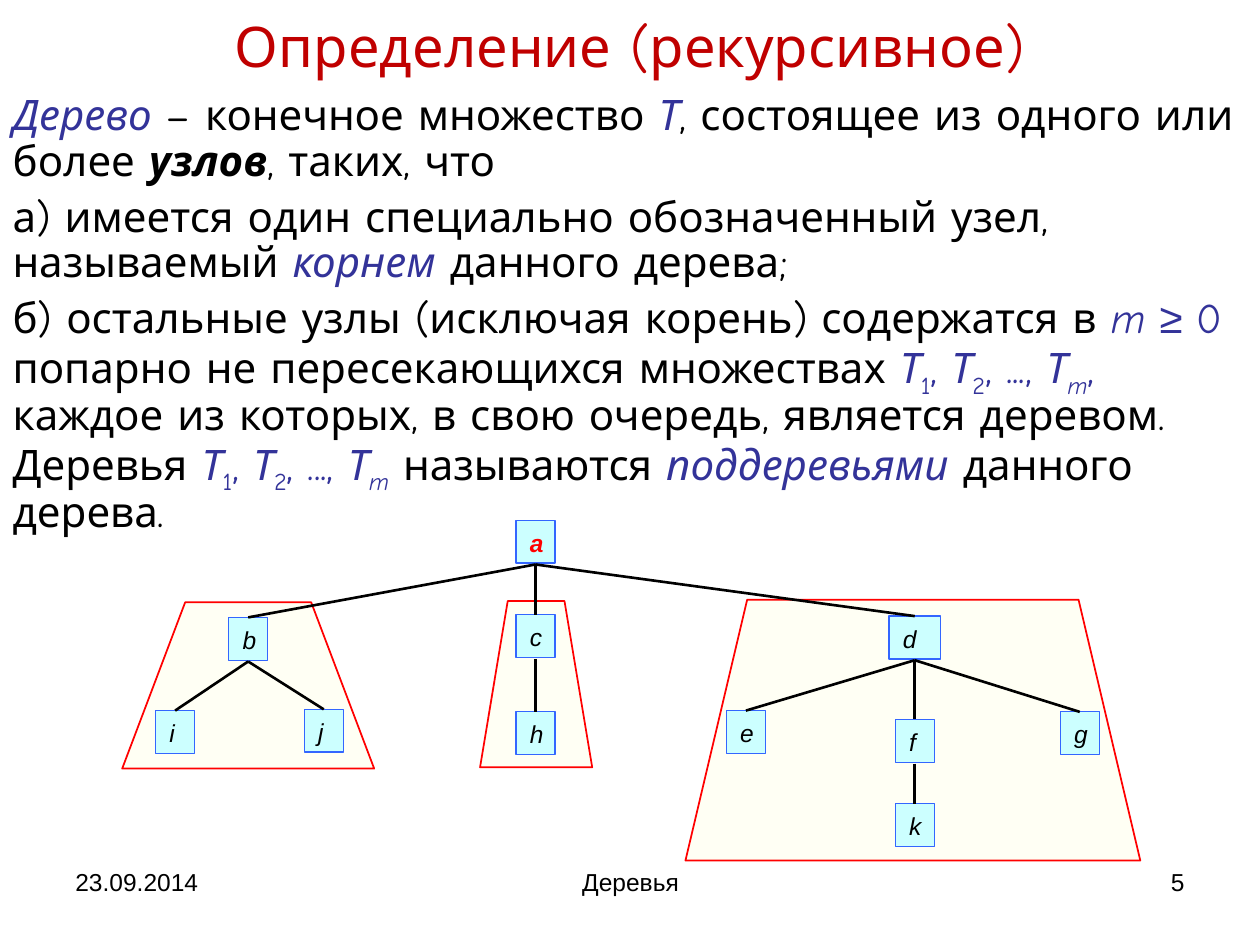
from lxml import etree
from pptx import Presentation
from pptx.dml.color import RGBColor
from pptx.enum.shapes import MSO_CONNECTOR, MSO_SHAPE
from pptx.enum.text import MSO_ANCHOR, MSO_AUTO_SIZE, PP_ALIGN
from pptx.oxml.ns import qn
from pptx.util import Inches, Pt

LEFT, CENTER, RIGHT = PP_ALIGN.LEFT, PP_ALIGN.CENTER, PP_ALIGN.RIGHT
TOP, MIDDLE = MSO_ANCHOR.TOP, MSO_ANCHOR.MIDDLE
NO_FIT = MSO_AUTO_SIZE.NONE
RECT, STRAIGHT = MSO_SHAPE.RECTANGLE, MSO_CONNECTOR.STRAIGHT

BLUE = "333399"
TERM = {"color": BLUE, "italic": True}
MATH = {"color": BLUE}
SUB = {"color": BLUE, "baseline": -25000}
SUB_TERM = {**TERM, **SUB}
SUBTREES = [("Т", TERM), ("1", SUB), (", ", MATH), ("Т", TERM), ("2", SUB),
            (", ..., ", MATH), ("Т", TERM), ("m", SUB_TERM)]

DEFINITION = [
    [("Дерево", TERM), (" – конечное множество ", {}), ("Т", TERM),
     (", состоящее из одного или более ", {}),
     ("узлов", {"bold": True, "italic": True}), (", таких, что", {})],
    [("а) имеется один специально обозначенный узел, называемый ", {}),
     ("корнем ", TERM), ("данного дерева;", {})],
    [("б) остальные узлы (исключая корень) содержатся в ", {}),
     ("m ", TERM), ("≥", {"color": BLUE, "name": "Arial"}), (" 0", MATH),
     (" попарно не пересекающихся множествах ", {}), *SUBTREES, (",", MATH),
     (" каждое из которых, в свою очередь, является деревом. \tДеревья ", {}),
     *SUBTREES, (" называются ", {}), ("поддеревьями ", TERM),
     ("данного дерева.", {})],
]

# left, top, width, alignment, text
FOOTERS = [(0.5, 2.33, LEFT, "23.09.2014"), (3.42, 3.17, CENTER, "Деревья"),
           (7.17, 2.33, RIGHT, "5")]

# bottom left, top left, top right, bottom right, top, bottom
SUBTREE_AREAS = [(3.81, 4.03, 4.48, 4.7, 4.77, 6.09),
                 (5.44, 5.93, 8.56, 9.05, 4.76, 6.83),
                 (0.97, 1.47, 2.47, 2.97, 4.78, 6.1)]

# name: (centre x, top)
NODES = {"a": (4.25, 4.13), "d": (7.26, 4.89), "b": (1.97, 4.9),
         "c": (4.25, 4.88), "h": (4.25, 5.65), "j": (2.57, 5.63),
         "f": (7.26, 5.71), "g": (8.57, 5.65), "k": (7.26, 6.38),
         "e": (5.92, 5.64), "i": (1.39, 5.64)}
EDGES = ["ab", "ac", "ad", "bi", "bj", "ch", "de", "df", "dg", "fk"]
NODE_W, WIDE_W, NODE_H = 0.31, 0.41, 0.34


def rgb(value):
    return RGBColor.from_string(value)


class TreeSlide:
    text_font = {"name": "Comic Neue", "size": Pt(24), "color": "000000"}
    title_font = {"name": "Comic Neue", "size": Pt(32), "color": "C00000"}
    label_font = {"name": "Arial", "size": Pt(14), "color": "000000"}

    def __init__(self, prs):
        self.s = prs.slides.add_slide(prs.slide_layouts[1])

    def run(self, p, text, fmt):
        r = p.add_run()
        r.text = text
        for key, value in fmt.items():
            if key == "color":
                r.font.color.rgb = rgb(value)
            elif key == "baseline":
                r.font._element.set("baseline", str(value))
            else:
                setattr(r.font, key, value)

    def frame(self, sp, anchor, margin_x=0.1, margin_y=0.05):
        tf = sp.text_frame
        fmt = {"word_wrap": True, "auto_size": NO_FIT,
               "vertical_anchor": anchor,
               "margin_left": Inches(margin_x),
               "margin_right": Inches(margin_x),
               "margin_top": Inches(margin_y),
               "margin_bottom": Inches(margin_y)}
        for key, value in fmt.items():
            setattr(tf, key, value)
        return tf

    def place(self, sp, *box):
        sp.left, sp.top, sp.width, sp.height = map(Inches, box)

    def title(self, text, *box):
        sp = self.s.shapes.title
        self.place(sp, *box)
        p = self.frame(sp, MIDDLE).paragraphs[0]
        p.alignment = CENTER
        self.run(p, text, self.title_font)

    def body(self, paragraphs, *box):
        sp = self.s.placeholders[1]
        self.place(sp, *box)
        tf = self.frame(sp, TOP)
        for i, runs in enumerate(paragraphs):
            p = tf.add_paragraph() if i else tf.paragraphs[0]
            pPr = p._p.get_or_add_pPr()
            pPr.set("marL", "0")
            pPr.set("indent", "0")
            etree.SubElement(pPr, qn("a:buNone"))
            p.line_spacing = 0.9
            p.space_before = Pt(6 if i else 0)
            for text, fmt in runs:
                self.run(p, text, {**self.text_font, **fmt})

    def label(self, text, align, *box):
        sp = self.s.shapes.add_textbox(*map(Inches, box))
        p = self.frame(sp, TOP).paragraphs[0]
        p.alignment = align
        self.run(p, text, self.label_font)

    def paint(self, sp, fill, line, width):
        sp.shadow.inherit = False
        sp.fill.solid()
        sp.fill.fore_color.rgb = rgb(fill)
        sp.line.color.rgb = rgb(line)
        sp.line.width = Pt(width)

    def area(self, x1, x2, x3, x4, top, bottom):
        """Draw a see-through trapezoid around a subtree."""
        fb = self.s.shapes.build_freeform(Inches(x1), Inches(bottom))
        corners = [(x2, top), (x3, top), (x4, bottom)]
        fb.add_line_segments([(Inches(x), Inches(y)) for x, y in corners])
        sp = fb.convert_to_shape()
        self.paint(sp, "FFFF99", "FF0000", 1)
        color = sp._element.spPr.find(qn("a:solidFill"))[0]
        etree.SubElement(color, qn("a:alpha")).set("val", "10000")

    def node(self, name, cx, top):
        width = WIDE_W if name == "d" else NODE_W
        box = cx - width / 2, top, width, NODE_H
        sp = self.s.shapes.add_shape(RECT, *map(Inches, box))
        self.paint(sp, "CCFFFF", "3366FF", 0.75)
        p = self.frame(sp, TOP, 0.11, 0.06).paragraphs[0]
        p.alignment = LEFT
        root = {"color": "FF0000", "bold": True} if name == "a" else {}
        self.run(p, name, {**self.label_font, "italic": True, **root})

    def edge(self, parent, child):
        (x1, y1), (x2, y2) = NODES[parent], NODES[child]
        ends = x1, y1 + NODE_H + 0.01, x2, y2
        sp = self.s.shapes.add_connector(STRAIGHT, *map(Inches, ends))
        sp.line.color.rgb = rgb("000000")
        sp.line.width = Pt(1.5)
        etree.SubElement(sp._element.spPr, qn("a:effectLst"))


def main():
    prs = Presentation()
    prs.slide_width, prs.slide_height = Inches(10), Inches(7.5)
    slide = TreeSlide(prs)
    slide.title("Определение (рекурсивное)", 0.5, 0.13, 9, 0.45)
    slide.body(DEFINITION, 0, 0.7, 10, 3.51)
    for left, width, align, text in FOOTERS:
        slide.label(text, align, left, 6.83, width, 0.52)
    for corners in SUBTREE_AREAS:
        slide.area(*corners)
    for name, (cx, top) in NODES.items():
        slide.node(name, cx, top)
    for parent, child in EDGES:
        slide.edge(parent, child)
    prs.save("out.pptx")


if __name__ == "__main__":
    main()
